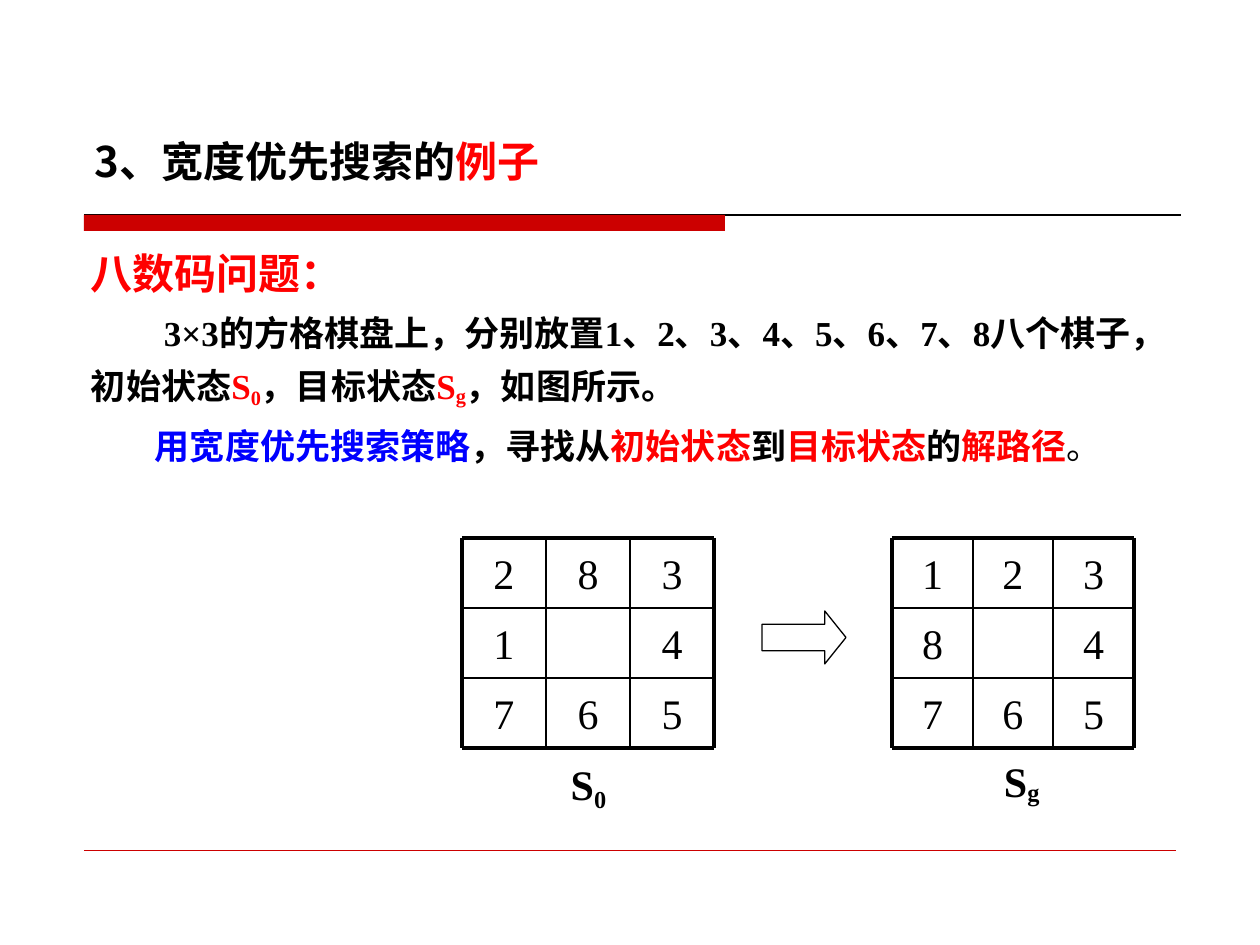
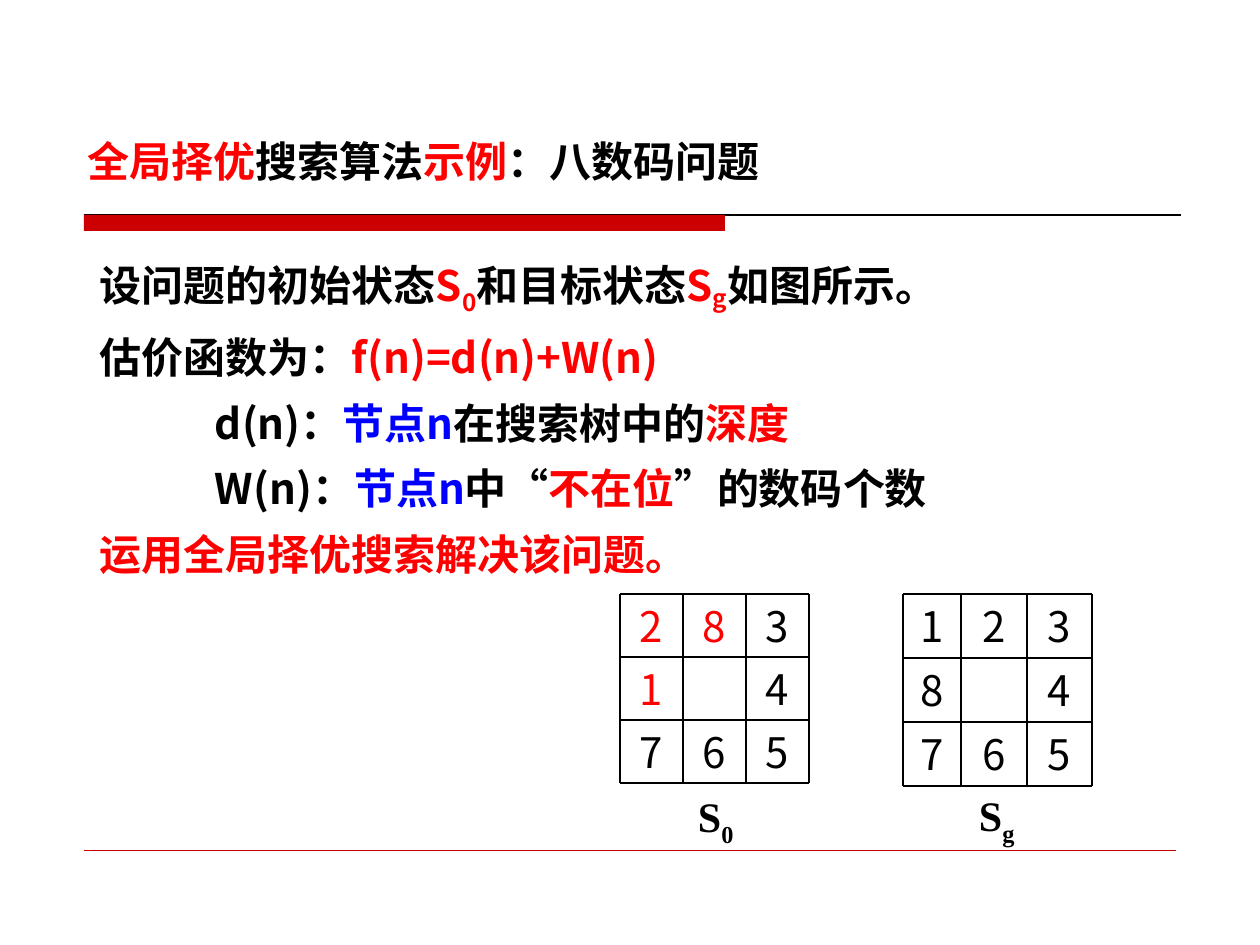
"""Build two slides on the eight-puzzle: breadth-first search and global best-first search."""
from itertools import product

from lxml.etree import SubElement
from pptx import Presentation
from pptx.dml.color import RGBColor
from pptx.enum.shapes import MSO_CONNECTOR, MSO_SHAPE
from pptx.enum.text import MSO_ANCHOR, PP_ALIGN
from pptx.oxml.ns import qn
from pptx.util import Emu, Pt

BLACK = RGBColor(0x00, 0x00, 0x00)
RED = RGBColor(0xFF, 0x00, 0x00)
BLUE = RGBColor(0x00, 0x00, 0xFF)
BAND = RGBColor(0xCC, 0x00, 0x00)
SERIF, SANS, QUOTE = "Times New Roman", "Noto Sans CJK SC", "Arial"
SCALE = 914400 / 126
HANGING = (64, -64)
HEADING = {"name": SANS, "size": Pt(24), "bold": True}
LABEL = {"name": SERIF, "size": Pt(24), "bold": True}
STATEMENT = {"name": SERIF, "size": Pt(20), "bold": True}
GOAL = ["123", "8 4", "765"]
START = ["283", "1 4", "765"]

SLIDES = [
    {
        "title": (95, [("3、宽度优先搜索的", BLACK), ("例子", RED)]),
        "body": {
            "area": (91, 242, 1092, 284),
            "spacing": Pt(32),
            "paragraphs": [
                (HANGING, LABEL, [("八数码问题：", RED)]),
                ((64, 9), STATEMENT, [("3×3的方格棋盘上，分别放置1、2、3、4、5、6、7、8八个棋子，", BLACK)]),
                (HANGING, STATEMENT, [
                    ("初始状态", BLACK), ("S", RED), ("0", RED, {"baseline": -18}),
                    ("，目标状态", BLACK), ("S", RED), ("g", RED, {"baseline": -10}),
                    ("，如图所示。", BLACK)]),
                ((64, 0), STATEMENT, [
                    ("用宽度优先搜索策略", BLUE), ("，寻找从", BLACK), ("初始状态", RED),
                    ("到", BLACK), ("目标状态", RED), ("的", BLACK), ("解路径", RED),
                    ("。", BLACK, {"bold": False})]),
            ],
        },
        "digit_font": SERIF,
        "frame_width": 2.25,
        "boards": [
            {"rows": START, "at": (462, 538), "widths": [84] * 3, "height": 70, "misplaced": "",
             "label": (557, 759, 63, PP_ALIGN.CENTER, "0", -18)},
            {"rows": GOAL, "at": (892, 538), "widths": [81, 80, 81], "height": 70, "misplaced": "",
             "label": (1004, 756, 53, PP_ALIGN.LEFT, "g", -8)},
        ],
        "arrow": (762, 611, 84, 53),
    },
    {
        "title": (88, [("全局择优", RED), ("搜索算法", BLACK), ("示例", RED), ("：八数码问题", BLACK)]),
        "body": {
            "area": (100, 242, 1097, 346),
            "spacing": 1.3,
            "paragraphs": [
                (HANGING, HEADING, [
                    ("设问题的初始状态", BLACK), ("S", RED), ("0", RED, {"baseline": -25}),
                    ("和目标状态", BLACK), ("S", RED), ("g", RED, {"baseline": -15}),
                    ("如图所示。", BLACK)]),
                (HANGING, HEADING, [("估价函数为：", BLACK), ("f(n)=d(n)+W(n)", RED)]),
                ((115, 0), HEADING, [
                    ("d(n)：", BLACK), ("节点n", BLUE), ("在搜索树中的", BLACK), ("深度", RED)]),
                ((115, 0), HEADING, [
                    ("W(n)：", BLACK), ("节点n", BLUE), ("中", BLACK), ("“", BLACK, {"name": QUOTE}),
                    ("不在位", RED), ("”", BLACK, {"name": QUOTE}), ("的数码个数", BLACK)]),
                (HANGING, HEADING, [("运用全局择优搜索解决该问题。", RED)]),
            ],
        },
        "digit_font": SANS,
        "frame_width": 1,
        "boards": [
            {"rows": START, "at": (620, 594), "widths": [63] * 3, "height": 63, "misplaced": "281",
             "label": (698, 791, 38, PP_ALIGN.LEFT, "0", -25)},
            {"rows": GOAL, "at": (903, 594), "widths": [58, 66, 65], "height": 64, "misplaced": "",
             "label": (979, 790, 38, PP_ALIGN.LEFT, "g", -25)},
        ],
    },
]


def px(*lengths):
    return [Emu(round(length * SCALE)) for length in lengths]


def add_line(page, start, end, color, width):
    line = page.shapes.add_connector(MSO_CONNECTOR.STRAIGHT, *px(*start, *end))
    line.line.color.rgb = color
    line.line.width = Pt(width)
    SubElement(line._element.spPr, qn("a:effectLst"))


def add_span(para, style, text, color, changes=None):
    span = para.add_run()
    span.text = text
    span.font.color.rgb = color
    values = {**style, **(changes or {})}
    baseline = values.pop("baseline", 0)
    for name, value in values.items():
        setattr(span.font, name, value)
    properties = span._r.get_or_add_rPr()
    SubElement(properties, qn("a:ea")).set("typeface", SANS)
    if baseline:
        properties.set("baseline", str(baseline * 1000))


def add_text(page, area, paragraphs, spacing=None, align=PP_ALIGN.LEFT, anchor=MSO_ANCHOR.TOP):
    frame = page.shapes.add_textbox(*px(*area)).text_frame
    frame_format = {"word_wrap": True, "vertical_anchor": anchor, "margin_left": 0,
                    "margin_right": 0, "margin_top": 0, "margin_bottom": 0}
    for name, value in frame_format.items():
        setattr(frame, name, value)
    for index, ((margin, indent), style, spans) in enumerate(paragraphs):
        para = frame.add_paragraph() if index else frame.paragraphs[0]
        para.alignment = align
        para.line_spacing = spacing
        for name, length in zip(("marL", "indent"), px(margin, indent)):
            para._p.get_or_add_pPr().set(name, str(length))
        for span in spans:
            add_span(para, style, *span)


def add_board(page, board, digit_font, frame_width):
    left, top = board["at"]
    widths, height = board["widths"], board["height"]
    columns = [left + sum(widths[:count]) for count in range(4)]
    levels = [top + height * count for count in range(4)]
    digit_style = {"name": digit_font, "size": Pt(24)}
    for row, column in product(range(3), repeat=2):
        digit = board["rows"][row][column]
        if digit != " ":
            color = RED if digit in board["misplaced"] else BLACK
            add_text(page, (columns[column], levels[row], widths[column], height),
                     [((0, 0), digit_style, [(digit, color)])],
                     align=PP_ALIGN.CENTER, anchor=MSO_ANCHOR.MIDDLE)
    for index, (x, y) in enumerate(zip(columns, levels)):
        width = frame_width if index in (0, 3) else 1
        add_line(page, (left, y), (columns[-1], y), BLACK, width)
        add_line(page, (x, top), (x, levels[-1]), BLACK, width)
    label_left, label_top, label_width, align, subscript, baseline = board["label"]
    spans = [("S", BLACK), (subscript, BLACK, {"baseline": baseline})]
    add_text(page, (label_left, label_top, label_width, 50), [((0, 0), LABEL, spans)], align=align)


def add_shared_parts(page, title):
    add_line(page, (84, 215), (1181, 215), BLACK, 0.75)
    band = page.shapes.add_shape(MSO_SHAPE.RECTANGLE, *px(84, 215, 641, 16))
    band.shadow.inherit = False
    band.fill.solid()
    band.fill.fore_color.rgb = BAND
    band.line.fill.background()
    add_line(page, (84, 850), (1176, 850), BAND, 0.25)
    left, spans = title
    add_text(page, (left, 136, 703, 50), [((0, 0), HEADING, spans)])


def add_arrow(page, area):
    arrow = page.shapes.add_shape(MSO_SHAPE.RIGHT_ARROW, *px(*area))
    arrow.shadow.inherit = False
    arrow.adjustments[0], arrow.adjustments[1] = 0.5, 0.4
    arrow.fill.background()
    arrow.line.color.rgb = BLACK
    arrow.line.width = Pt(0.75)


def main():
    deck = Presentation()
    deck.slide_width, deck.slide_height = px(1260, 945)
    for content in SLIDES:
        page = deck.slides.add_slide(deck.slide_layouts[6])
        add_shared_parts(page, content["title"])
        body = content["body"]
        add_text(page, body["area"], body["paragraphs"], body["spacing"])
        for board in content["boards"]:
            add_board(page, board, content["digit_font"], content["frame_width"])
        if "arrow" in content:
            add_arrow(page, content["arrow"])
    deck.save("out.pptx")


if __name__ == "__main__":
    main()
